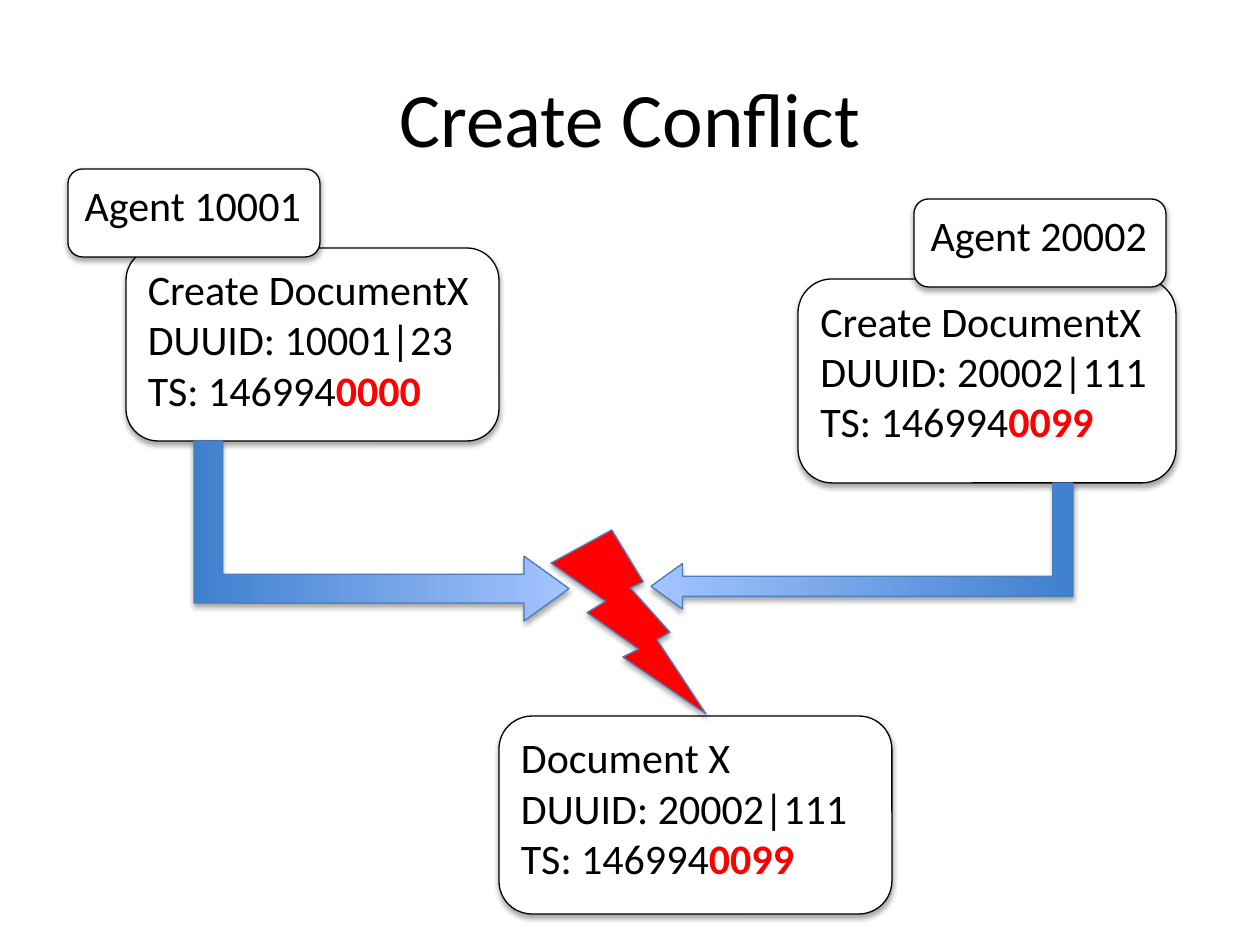
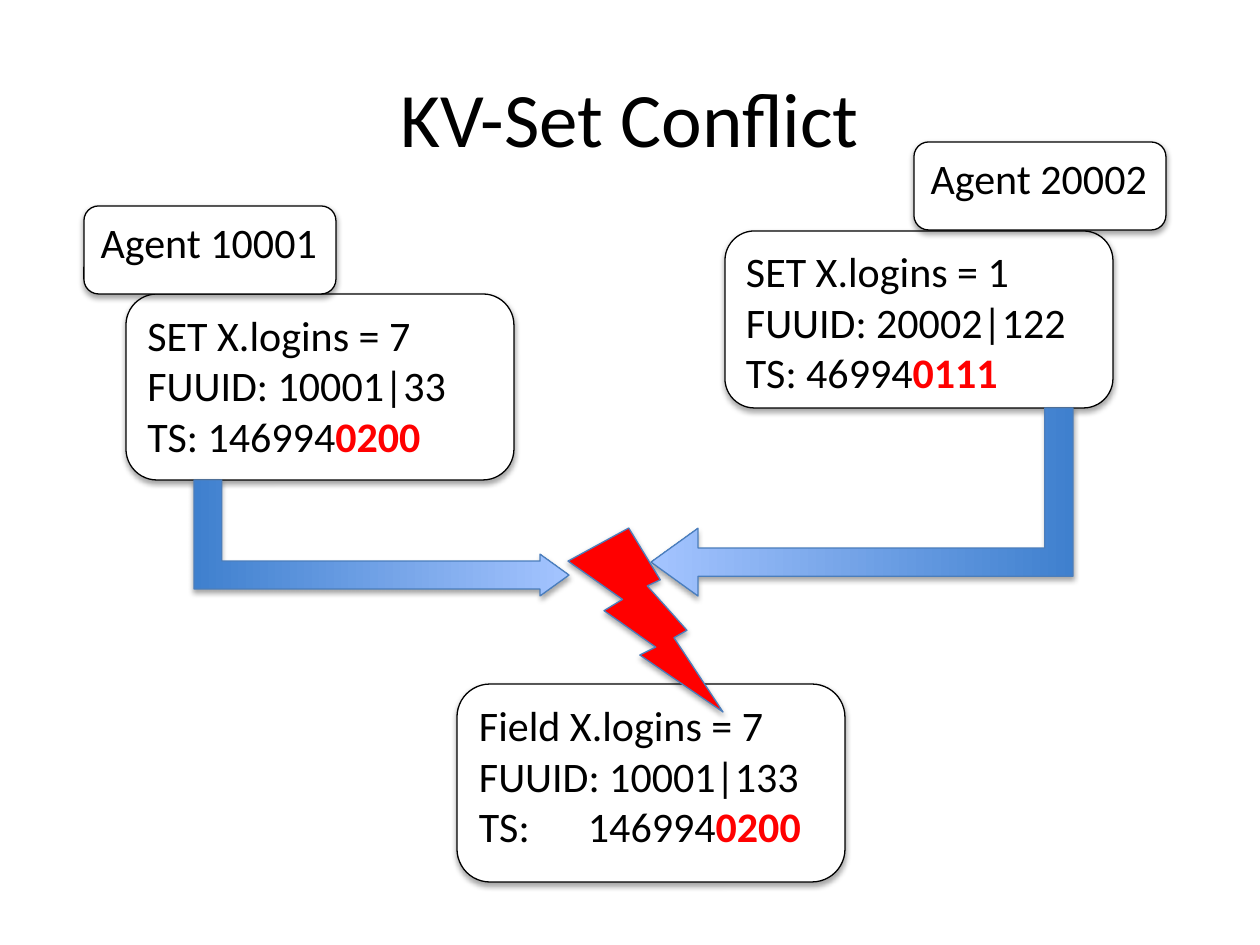
from collections import namedtuple
from dataclasses import dataclass

from lxml import etree
from pptx import Presentation, util as u
from pptx.dml.color import RGBColor
from pptx.enum import shapes, text
from pptx.oxml import ns

PX = u.Inches(1) / 126
SLIDE_W, SLIDE_H = 1260, 945
TITLE_ONLY = 5

Box = namedtuple("Box", "x y w h")
Card = namedtuple("Card", "box lines stamp")  # stamp: plain and highlighted digits


@dataclass(frozen=True)
class Theme:
    font: str = "Calibri"
    title_size: int = 44
    body_size: int = 24
    line_width: float = 0.75
    ink: str = "000000"
    paper: str = "FFFFFF"
    alert: str = "FF0000"
    edge: str = "4B7EBC"
    arrow_tail: str = "3F80CE"
    arrow_head: str = "A4C4FF"


THEME = Theme()
TITLE_BOX = Box(63, 38, 1134, 157)
TAG_W, TAG_H = 252, 88
BOLT_W, BOLT_H = 155, 184
LEFT_ARROW_X, LEFT_ARROW_W = 194, 375
RIGHT_ARROW_X, RIGHT_ARROW_W = 651, 422


def px(n):
    return u.Emu(round(n * PX))


def rgb(value):
    return RGBColor.from_string(value)


def place(sp, box):
    sp.left, sp.top, sp.width, sp.height = map(px, box)


def set_font(font, size):
    font.name = THEME.font
    font.size = u.Pt(size)
    font.color.rgb = rgb(THEME.ink)


def add_shadow(sp):
    sp.shadow.inherit = False
    effects = sp._element.spPr.find(ns.qn("a:effectLst"))
    shadow = etree.SubElement(effects, ns.qn("a:outerShdw"), blurRad="40000",
                              dist="23000", dir="5400000", rotWithShape="0")
    color = etree.SubElement(shadow, ns.qn("a:srgbClr"), val=THEME.ink)
    etree.SubElement(color, ns.qn("a:alpha"), val="35000")


def add_figure(s, preset, box, line, fill=None):
    sp = s.shapes.add_shape(preset, *map(px, box))
    sp.line.color.rgb = rgb(line)
    sp.line.width = u.Pt(THEME.line_width)
    if fill:
        sp.fill.solid()
        sp.fill.fore_color.rgb = rgb(fill)
    add_shadow(sp)
    return sp


def add_panel(s, box, lines):
    """Rounded white box with left-aligned lines from its top; returns the last paragraph."""
    sp = add_figure(s, shapes.MSO_SHAPE.ROUNDED_RECTANGLE, box, THEME.ink, THEME.paper)
    tf = sp.text_frame
    tf.vertical_anchor = text.MSO_ANCHOR.TOP
    tf.word_wrap = True
    tf.text = "\n".join(lines)
    for p in tf.paragraphs:
        p.alignment = text.PP_ALIGN.LEFT
        set_font(p.font, THEME.body_size)
    return tf.paragraphs[-1]


def add_tab_stop(p, position):
    tabs = etree.Element(ns.qn("a:tabLst"))
    etree.SubElement(tabs, ns.qn("a:tab"), pos=str(px(position)), algn="l")
    p._p.get_or_add_pPr().find(ns.qn("a:defRPr")).addprevious(tabs)


def add_card(s, card):
    plain, changed = card.stamp
    p = add_panel(s, card.box, [*card.lines, plain])
    if "\t" in plain:
        add_tab_stop(p, 109)
    r = p.add_run()
    r.text = changed
    r.font.bold = True
    r.font.color.rgb = rgb(THEME.alert)


def add_tag(s, x, y, label):
    add_panel(s, Box(x, y, TAG_W, TAG_H), [label])


def add_arrow(s, box, thickness, leftward=False):
    """Bent arrow that drops from the top of box and turns; box is as seen after rotation."""
    dx = (box.w - box.h) / 2
    unturned = Box(box.x + dx, box.y - dx, box.h, box.w)
    sp = add_figure(s, shapes.MSO_SHAPE.BENT_UP_ARROW, unturned, THEME.edge)
    for i, value in enumerate((thickness, 0.18, 0.25)):
        sp.adjustments[i] = value
    sp.rotation = 90
    if leftward:
        sp._element.spPr.xfrm.set("flipV", "1")
    sp.fill.gradient()
    sp.fill.gradient_angle = 90
    for stop, color in zip(sp.fill.gradient_stops, (THEME.arrow_tail, THEME.arrow_head)):
        stop.color.rgb = rgb(color)


def add_title(s, title):
    sp = s.shapes.title
    place(sp, TITLE_BOX)
    tf = sp.text_frame
    tf.text = title
    tf.vertical_anchor = text.MSO_ANCHOR.MIDDLE
    p = tf.paragraphs[0]
    p.alignment = text.PP_ALIGN.CENTER
    set_font(p.font, THEME.title_size)


def add_conflict_slide(prs, title, left, right, result, left_arrow, right_arrow,
                       left_tag, right_tag, bolt):
    """Two agents' cards collide at a bolt above the result; arrows are (height, thickness)."""
    s = prs.slides.add_slide(prs.slide_layouts[TITLE_ONLY])
    add_title(s, title)
    add_card(s, left)
    add_card(s, right)
    height, thickness = left_arrow
    add_arrow(s, Box(LEFT_ARROW_X, left.box.y + left.box.h, LEFT_ARROW_W, height), thickness)
    height, thickness = right_arrow
    add_arrow(s, Box(RIGHT_ARROW_X, right.box.y + right.box.h, RIGHT_ARROW_W, height),
              thickness, leftward=True)
    add_card(s, result)
    add_tag(s, *left_tag, "Agent 10001")
    add_tag(s, *right_tag, "Agent 20002")
    add_figure(s, shapes.MSO_SHAPE.LIGHTNING_BOLT, Box(*bolt, BOLT_W, BOLT_H),
               THEME.edge, THEME.alert)


def main():
    prs = Presentation()
    prs.slide_width, prs.slide_height = px(SLIDE_W), px(SLIDE_H)
    add_conflict_slide(
        prs, "Create Conflict",
        left=Card(Box(126, 248, 373, 193),
                  ["Create DocumentX", "DUUID: 10001|23"], ("TS: 146994", "0000")),
        right=Card(Box(798, 279, 378, 204),
                   ["Create DocumentX", "DUUID: 20002|111"], ("TS: 146994", "0099")),
        result=Card(Box(499, 716, 393, 198),
                    ["Document X", "DUUID: 20002|111"], ("TS: 146994", "0099")),
        left_arrow=(180, 0.16), right_arrow=(126, 0.16),
        left_tag=(68, 169), right_tag=(914, 199), bolt=(551, 530))
    add_conflict_slide(
        prs, "KV-Set Conflict",
        left=Card(Box(126, 294, 388, 186),
                  ["SET X.logins = 7", "FUUID: 10001|33"], ("TS: 146994", "0200")),
        right=Card(Box(725, 231, 388, 177),
                   ["SET X.logins = 1", "FUUID: 20002|122"], ("TS: 46994", "0111")),
        result=Card(Box(457, 684, 388, 198),
                    ["Field X.logins = 7", "FUUID: 10001|133"], ("TS:\t146994", "0200")),
        left_arrow=(116, 0.24), right_arrow=(188, 0.15),
        left_tag=(84, 206), right_tag=(914, 142), bolt=(568, 528))
    prs.save("out.pptx")


if __name__ == "__main__":
    main()
